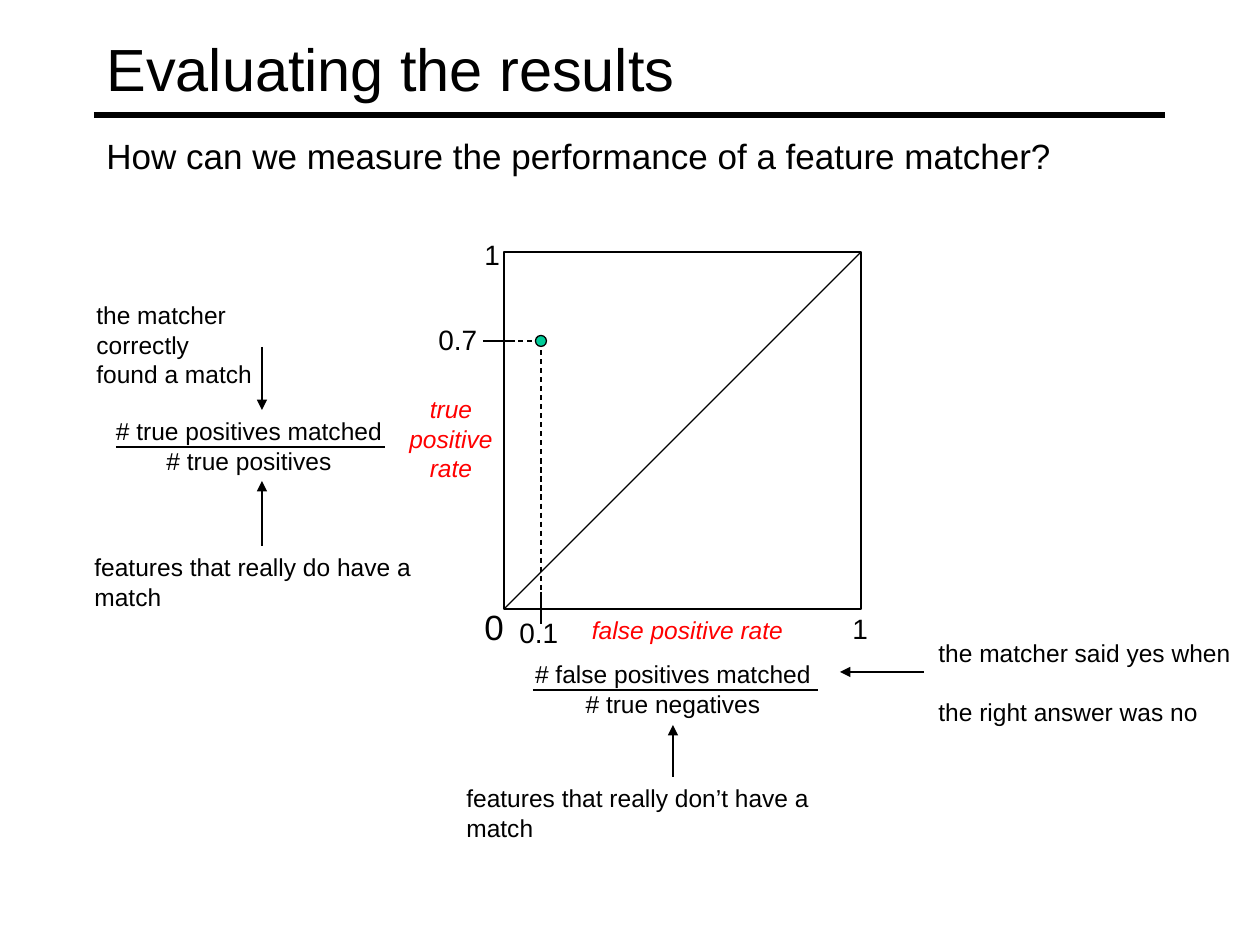
"""Build a slide on evaluating a feature matcher with an ROC plot."""
from lxml.etree import SubElement as Sub
from pptx import Presentation
from pptx.dml.color import RGBColor as RGB
from pptx.enum.dml import MSO_LINE as Dash
from pptx.enum.shapes import MSO_CONNECTOR as Conn, MSO_SHAPE as Kind
from pptx.enum.text import MSO_ANCHOR as Anchor, PP_ALIGN as Align
from pptx.oxml.ns import qn
from pptx.util import Pt

PX = 914400 / 126
INK = {"black": "000000", "red": "FF0000", "green": "00CC99"}

deck = Presentation()
deck.slide_width, deck.slide_height = round(1260 * PX), round(945 * PX)
slide = deck.slides.add_slide(deck.slide_layouts[5])
shapes = slide.shapes


def write(text, at, size=14, ink="black", mid=False, slant=False, gap=0, box=None):
    area = [round(v * PX) for v in at]
    box = box or shapes.add_textbox(*area)
    box.left, box.top, box.width, box.height = area
    frame = box.text_frame
    frame.word_wrap = True
    frame.text = text
    for i, para in enumerate(frame.paragraphs):
        para.alignment = Align.CENTER if mid else Align.LEFT
        para.space_before = Pt(gap if i else 0)
        font = para.font
        font.name, font.size, font.italic = "Arial", Pt(size), slant
        font.color.rgb = RGB.from_string(INK[ink])
    return box


def draw(ends, width=1, dash=False, arrow=False):
    line = shapes.add_connector(Conn.STRAIGHT, *[round(v * PX) for v in ends])
    line.line.color.rgb = RGB.from_string(INK["black"])
    line.line.width = Pt(width)
    if dash:
        line.line.dash_style = Dash.DASH
    if arrow:
        Sub(line.line._get_or_add_ln(), qn("a:tailEnd"), type="triangle")
    Sub(line._element.spPr, qn("a:effectLst"))
    return line


title = write("Evaluating the results", (94, 10, 1071, 116), size=34, box=shapes.title)
title.text_frame.vertical_anchor = Anchor.MIDDLE
draw((94, 115, 1165, 115), width=3)
write("How can we measure the performance of a feature matcher?",
      (94, 128, 1071, 59), size=20)

left, top, side = 504, 252, 357
low, right = top + side, left + side
dot_x, dot_y, dot = 541, 341, 11
draw((dot_x, dot_y, 483, dot_y), width=0.75, dash=True)
draw((dot_x, dot_y, dot_x, 624), width=0.75, dash=True)
for kind, area, ink in (
    (Kind.RECTANGLE, (left, top, side, side), None),
    (Kind.OVAL, (dot_x - dot / 2, dot_y - dot / 2, dot, dot), "green"),
):
    form = shapes.add_shape(kind, *[round(v * PX) for v in area])
    form.shadow.inherit = False
    form.line.color.rgb = RGB.from_string(INK["black"])
    form.line.width = Pt(0.75)
    if ink:
        form.fill.solid()
        form.fill.fore_color.rgb = RGB.from_string(INK[ink])
    else:
        form.fill.background()
draw((left, low, right, top), width=0.75)
draw((dot_x, 592, dot_x, 624), width=1.5)
draw((483, dot_y, 515, dot_y), width=1.5)

for text, x, y, wide, size in (
    ("0", 472, 599, 63, 20),
    ("1", 840, 605, 42, 16),
    ("1", 472, 231, 42, 16),
    ("0.7", 426, 316, 105, 16),
    ("0.1", 507, 609, 105, 16),
):
    write(text, (x, y, wide, 47), size=size)
write("false positive rate", (451, 609, 473, 42), ink="red", mid=True, slant=True)
write("true\vpositive\vrate", (367, 388, 168, 131), ink="red", mid=True, slant=True)

write("# true positives matched\n# true positives", (89, 410, 320, 72), mid=True)
draw((116, 447, 385, 447), width=1.5)
ratio = write("# false positives matched\n# true negatives", (506, 653, 334, 72), mid=True)
draw((533, 690, 818, 690), width=1.5)

write("features that really do have a match", (82, 546, 411, 72))
write("the matcher correctly\vfound a match", (84, 294, 251, 102))
base = write("features that really don’t have a match", (454, 777, 438, 72))
write("the matcher said yes when\nthe right answer was no", (926, 632, 322, 102), gap=17)

for ends in ((262, 347, 262, 410), (262, 546, 262, 481), (924, 672, 840, 672)):
    draw(ends, arrow=True)
link = draw((673, 777, 673, 725), arrow=True)
link.begin_connect(base, 0)
link.end_connect(ratio, 2)

deck.save("out.pptx")
